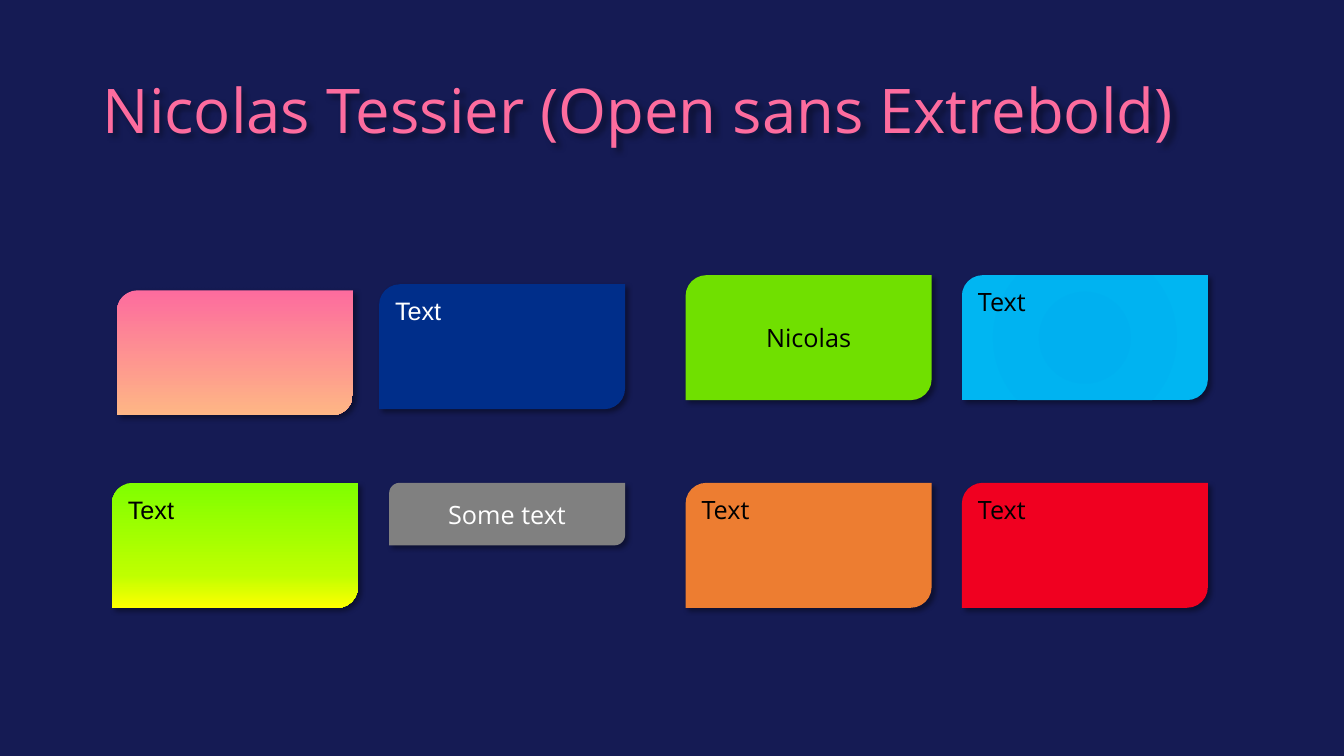
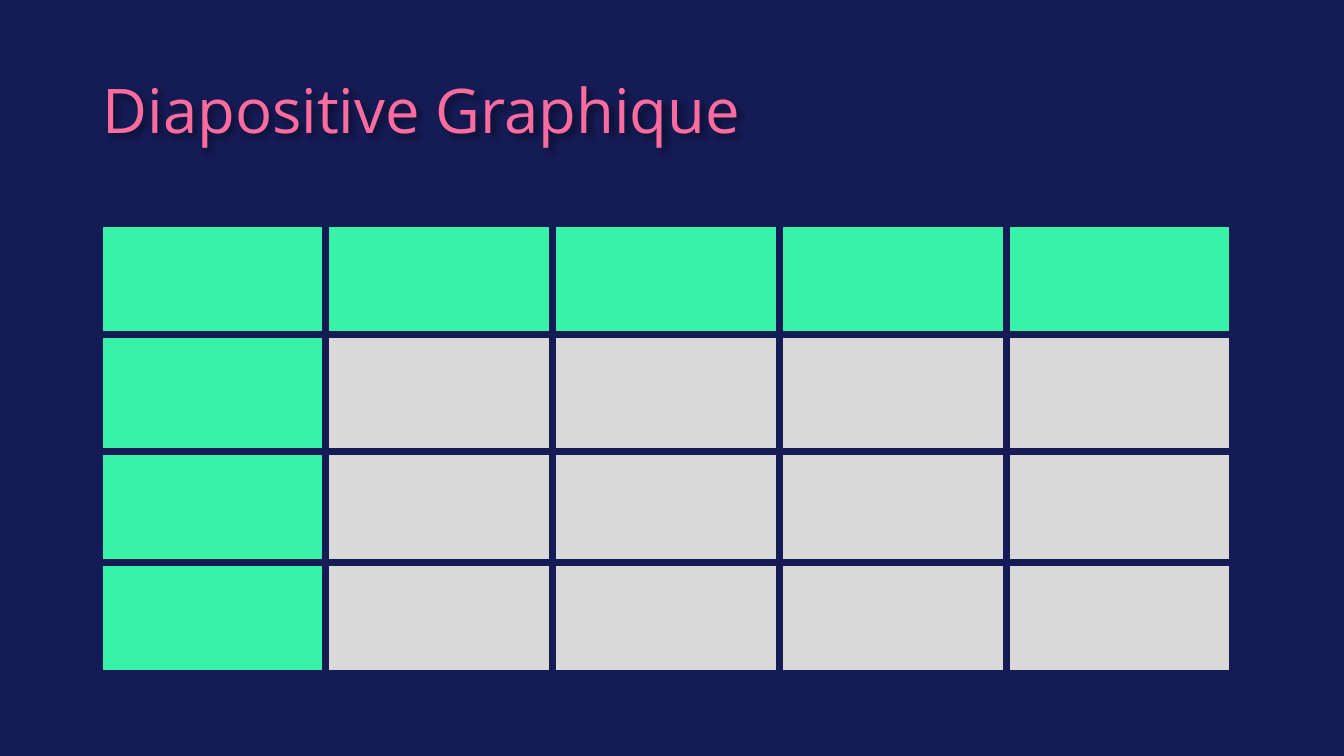
from lxml.etree import SubElement
from pptx import Presentation
from pptx.dml.color import RGBColor
from pptx.enum.shapes import MSO_SHAPE as Shape
from pptx.enum.text import MSO_ANCHOR as Anchor, PP_ALIGN as Align
from pptx.oxml.ns import qn
from pptx.util import Inches, Pt

NAVY = RGBColor(0x15, 0x1B, 0x54)
PINK = RGBColor(0xFD, 0x6C, 0x9E)
PEACH = RGBColor(0xFE, 0xB6, 0x85)
ROYAL = RGBColor(0x00, 0x2E, 0x8A)
GREEN = RGBColor(0x70, 0xE0, 0x00)
RED = RGBColor(0xF0, 0x00, 0x20)
CHARTREUSE = RGBColor(0x7F, 0xFF, 0x00)
LIME = RGBColor(0xBF, 0xFF, 0x00)
YELLOW = RGBColor(0xFF, 0xFF, 0x00)
GRAY = RGBColor(0x80, 0x80, 0x80)
SKY = RGBColor(0x00, 0xB0, 0xF0)
SKY_LIGHT = RGBColor(0x00, 0xB6, 0xF2)
ORANGE = RGBColor(0xED, 0x7D, 0x31)
MINT = RGBColor(0x38, 0xF2, 0xA8)
SILVER = RGBColor(0xD9, 0xD9, 0xD9)
BLACK = RGBColor(0x00, 0x00, 0x00)
WHITE = RGBColor(0xFF, 0xFF, 0xFF)

SUNSET = [(0, PINK), (100, PEACH)]
ACID = [(0, CHARTREUSE), (74, LIME), (100, YELLOW)]
AZURE = [(0, SKY), (100, SKY_LIGHT)]


def add_color(parent, color, alpha=None):
    node = SubElement(parent, qn("a:srgbClr"), val=str(color))
    if alpha is not None:
        SubElement(node, qn("a:alpha"), val=str(alpha * 1000))


def set_gradient(fill, owner, stops, angle=90):
    """Fill with (percent, colour) stops; angle None means radial."""
    fill.gradient()
    gradient = owner.find(qn("a:gradFill"))
    for child in list(gradient):
        gradient.remove(child)
    stop_list = SubElement(gradient, qn("a:gsLst"))
    for percent, color in stops:
        add_color(SubElement(stop_list, qn("a:gs"), pos=str(percent * 1000)), color)
    if angle is None:
        radial = SubElement(gradient, qn("a:path"), path="circle")
        SubElement(radial, qn("a:fillToRect"))
    else:
        SubElement(gradient, qn("a:lin"), ang=str(angle * 60000), scaled="0")


def set_shadow(shape):
    shape.shadow.inherit = False
    effects = shape._element.spPr.find(qn("a:effectLst"))
    outer = SubElement(effects, qn("a:outerShdw"), blurRad=str(Pt(4)),
                       dist=str(Pt(3)), dir=str(45 * 60000), algn="tl",
                       rotWithShape="0")
    add_color(outer, BLACK, alpha=40)


def write_text(frame, text, size=18, font="Open Sans", color=BLACK,
               align=Align.LEFT, anchor=Anchor.TOP, spacing=None):
    """Write one paragraph; a list of stops as color gives a gradient."""
    frame.word_wrap = True
    frame.vertical_anchor = anchor
    paragraph = frame.paragraphs[0]
    paragraph.alignment = align
    paragraph.line_spacing = spacing
    run = paragraph.add_run()
    run.text = text
    run.font.size = Pt(size)
    run.font.name = font
    if isinstance(color, list):
        set_gradient(run.font.fill, run._r.get_or_add_rPr(), color, 135)
    else:
        run.font.color.rgb = color


class Deck:
    def __init__(self):
        self.show = Presentation()
        self.show.slide_width = Inches(13.33)
        self.show.slide_height = Inches(7.5)
        self.slide = None

    def add_slide(self, title):
        self.slide = self.show.slides.add_slide(self.show.slide_layouts[6])
        background = self.slide.background.fill
        background.solid()
        background.fore_color.rgb = NAVY
        heading = self.slide.shapes.add_textbox(
            Inches(0.92), Inches(0.4), Inches(11.5), Inches(1.45))
        write_text(heading.text_frame, title, size=44, color=SUNSET,
                   anchor=Anchor.MIDDLE, spacing=0.9)
        set_shadow(heading)

    def add_card(self, left, top, fill, text=None, width=2.44, height=1.24,
                 angle=90, **text_format):
        card = self.slide.shapes.add_shape(
            Shape.ROUND_2_DIAG_RECTANGLE, Inches(left), Inches(top),
            Inches(width), Inches(height))
        if isinstance(fill, list):
            set_gradient(card.fill, card._element.spPr, fill, angle)
        else:
            card.fill.solid()
            card.fill.fore_color.rgb = fill
        card.line.fill.background()
        set_shadow(card)
        if text:
            write_text(card.text_frame, text, **text_format)

    def add_grid(self, left, top, columns, rows):
        """Draw a table with a mint header row and first column."""
        grid = self.slide.shapes.add_table(
            len(rows), len(columns), Inches(left), Inches(top),
            Inches(sum(columns)), Inches(sum(rows))).table
        grid.first_row = grid.horz_banding = False
        for column, width in zip(grid.columns, columns):
            column.width = Inches(width)
        for r, height in enumerate(rows):
            grid.rows[r].height = Inches(height)
            for c in range(len(columns)):
                cell = grid.cell(r, c)
                self.add_borders(cell)
                cell.fill.solid()
                cell.fill.fore_color.rgb = SILVER if r and c else MINT

    def add_borders(self, cell):
        properties = cell._tc.get_or_add_tcPr()
        for side in ("lnL", "lnR", "lnT", "lnB"):
            border = SubElement(properties, qn(f"a:{side}"), w=str(Pt(6)))
            add_color(SubElement(border, qn("a:solidFill")), NAVY)


def main():
    deck = Deck()
    centered = {"align": Align.CENTER, "anchor": Anchor.MIDDLE}
    third, fourth = 6.8, 9.54
    upper, lower = 2.73, 4.79

    # Colour cards
    deck.add_slide("Nicolas Tessier (Open sans Extrebold)")
    deck.add_card(3.76, 2.82, ROYAL, "Text", font="Arial", color=WHITE)
    deck.add_card(third, upper, GREEN, "Nicolas", **centered)
    deck.add_card(fourth, lower, RED, "Text")
    deck.add_card(1.11, lower, ACID, "Text", font="Arial")
    deck.add_card(3.86, lower, GRAY, "Some text", width=2.34, height=0.62,
                  color=WHITE, **centered)
    deck.add_card(fourth, upper, AZURE, "Text", angle=None)
    deck.add_card(third, lower, ORANGE, "Text")
    deck.add_card(1.16, 2.88, SUNSET, width=2.34)

    # Empty table
    deck.add_slide("Diapositive Graphique")
    deck.add_grid(0.98, 2.22, columns=[2.25] * 5, rows=[1.1, 1.16, 1.1, 1.1])

    deck.show.save("out.pptx")


if __name__ == "__main__":
    main()
